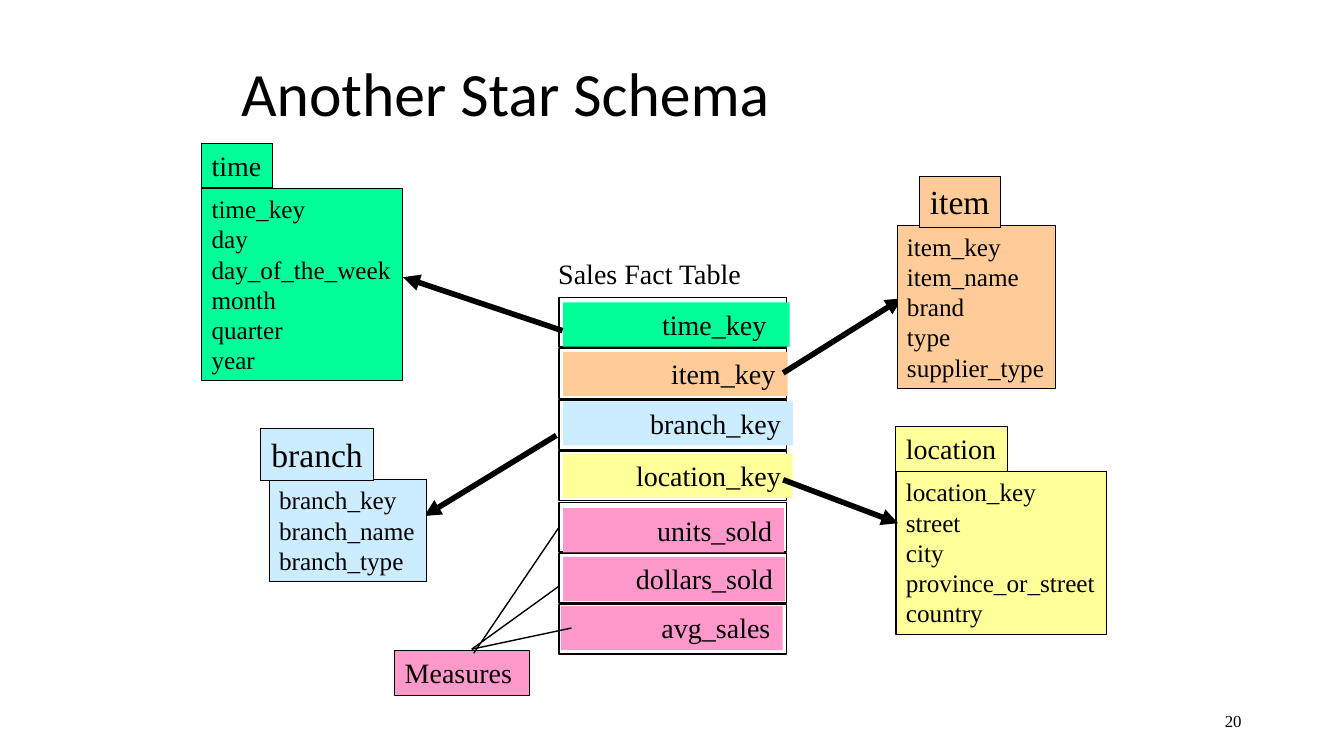
"""Build a star schema slide: a sales fact table linked to four dimensions."""
from dataclasses import dataclass
from typing import Optional

from lxml import etree
from pptx import Presentation
from pptx import slide as sl
from pptx import util as u
from pptx.dml import color
from pptx.enum import shapes, text
from pptx.oxml import ns
from pptx.shapes import autoshape, connector, shapetree
from pptx.text import text as tx


@dataclass(frozen=True)
class Theme:
    heading_font: str = "Calibri"
    body_font: str = "Times New Roman"
    ink: str = "000000"
    green: str = "00FF99"
    orange: str = "FFCC99"
    blue: str = "CCECFF"
    yellow: str = "FFFF99"
    pink: str = "FF99CC"
    title_size: float = 44
    large_size: float = 24
    label_size: float = 20
    field_size: float = 18
    number_size: float = 12
    border: float = 0.75
    rule: float = 1
    arrow: float = 4
    inset: float = 7.2


@dataclass(frozen=True)
class Area:
    left: float
    top: float
    width: float
    height: float

    def lengths(self) -> tuple[u.Length, ...]:
        """Return the four measures as lengths."""
        return tuple(u.Pt(v) for v in (self.left, self.top, self.width, self.height))


@dataclass(frozen=True)
class Dimension:
    name: str
    fields: tuple[str, ...]
    fill: str
    header: Area
    body: Area
    header_size: float
    header_align: text.PP_ALIGN = text.PP_ALIGN.LEFT


@dataclass(frozen=True)
class FactRow:
    name: str
    fill: str
    area: Area
    text_left: float


@dataclass(frozen=True)
class Link:
    start: tuple[float, float]
    end: tuple[float, float]
    row: Optional[str] = None


THEME = Theme()
CENTER = text.PP_ALIGN.CENTER

TIME = Dimension(
    "time", ("time_key", "day", "day_of_the_week", "month", "quarter", "year"),
    THEME.green, Area(144, 102.2, 50.6, 32), Area(144, 134.6, 143.3, 137.6), THEME.label_size)
LOCATION = Dimension(
    "location", ("location_key", "street", "city", "province_or_street", "country"),
    THEME.yellow, Area(640, 304.6, 80, 32), Area(640, 337, 150.5, 116), THEME.label_size)
ITEM = Dimension(
    "item", ("item_key", "item_name", "brand", "type", "supplier_type"),
    THEME.orange, Area(656.8, 126, 57.6, 36.7), Area(640.8, 161.4, 113, 116),
    THEME.large_size, CENTER)
BRANCH = Dimension(
    "branch", ("branch_key", "branch_name", "branch_type"),
    THEME.blue, Area(186.2, 306.2, 80.6, 36.7), Area(192.3, 342.6, 112.3, 72.7),
    THEME.large_size, CENTER)

CELL = Area(399.4, 212.6, 162.6, 35.4)
CELL_PITCH = 36.55
FACT_ROWS = (
    FactRow("time_key", THEME.green, Area(402, 216, 162, 31.6), 472.9),
    FactRow("item_key", THEME.orange, Area(402.2, 251.3, 160.4, 31.6), 479.3),
    FactRow("branch_key", THEME.blue, Area(402.2, 286.6, 164.2, 31.6), 464.3),
    FactRow("location_key", THEME.yellow, Area(402, 324, 164.2, 31.6), 454.3),
    FactRow("units_sold", THEME.pink, Area(402.2, 362.9, 157.7, 31.6), 469.3),
    FactRow("dollars_sold", THEME.pink, Area(402.2, 397.8, 158.4, 31.6), 454.3),
    FactRow("avg_sales", THEME.pink, Area(400.6, 432.7, 158.4, 31.6), 472.5),
)
MEASURE_LINKS = (
    Link((338.4, 466.6), (398.9, 376.6), "units_sold"),
    Link((337, 463.7), (398.9, 419)),
    Link((337, 463.7), (408.2, 448.6)),
)
ARROWS = (
    Link((397.4, 311), (303.1, 368.6)),
    Link((401.8, 236.2), (288, 198)),
    Link((559.4, 342.7), (641.5, 373.7)),
    Link((559.4, 266.4), (644.4, 213.1)),
)


def rgb(value: str) -> color.RGBColor:
    """Return a colour from its hex digits."""
    return color.RGBColor.from_string(value)


def write(frame: tx.TextFrame, lines: tuple[str, ...], size: float,
          align: text.PP_ALIGN = text.PP_ALIGN.LEFT, font: str = THEME.body_font) -> None:
    """Write one paragraph per line in a single style."""
    frame.word_wrap = True
    frame.auto_size = text.MSO_AUTO_SIZE.NONE
    frame.text = "\n".join(lines)
    for para in frame.paragraphs:
        para.alignment = align
        para.font.name = font
        para.font.size = u.Pt(size)
        para.font.color.rgb = rgb(THEME.ink)


def add_box(parent: shapetree._BaseGroupShapes, area: Area, fill: Optional[str] = None,
            border: Optional[float] = None) -> autoshape.Shape:
    """Add a rectangle with optional fill and border."""
    box = parent.add_shape(shapes.MSO_SHAPE.RECTANGLE, *area.lengths())
    box.shadow.inherit = False
    if fill:
        box.fill.solid()
        box.fill.fore_color.rgb = rgb(fill)
    else:
        box.fill.background()
    if border:
        box.line.color.rgb = rgb(THEME.ink)
        box.line.width = u.Pt(border)
    else:
        box.line.fill.background()
    return box


def label(box: autoshape.Shape, lines: tuple[str, ...], size: float,
          inset: float = THEME.inset, align: text.PP_ALIGN = text.PP_ALIGN.LEFT) -> None:
    """Write text from the top of a box, leaving the given left inset."""
    frame = box.text_frame
    frame.vertical_anchor = text.MSO_ANCHOR.TOP
    frame.margin_left = u.Pt(0 if align == CENTER else inset)
    frame.margin_right = 0
    write(frame, lines, size, align)


def add_dimension(page: sl.Slide, dimension: Dimension) -> None:
    """Add a grouped dimension table with its name above its fields."""
    group = page.shapes.add_group_shape().shapes
    body = add_box(group, dimension.body, dimension.fill, THEME.border)
    label(body, dimension.fields, THEME.field_size)
    header = add_box(group, dimension.header, dimension.fill, THEME.border)
    label(header, (dimension.name,), dimension.header_size, align=dimension.header_align)


def add_fact_table(page: sl.Slide) -> dict[str, autoshape.Shape]:
    """Add the fact rows and return their outlined cells by name."""
    cells = {}
    for index, row in enumerate(FACT_ROWS):
        area = Area(CELL.left, CELL.top + index * CELL_PITCH, CELL.width, CELL.height)
        cells[row.name] = add_box(page.shapes, area, border=THEME.rule)
        key = add_box(page.shapes, row.area, row.fill)
        label(key, (row.name,), THEME.label_size, row.text_left - row.area.left)
    return cells


def add_link(page: sl.Slide, link: Link, width: float) -> connector.Connector:
    """Add a straight black line."""
    line = page.shapes.add_connector(
        shapes.MSO_CONNECTOR.STRAIGHT, *(u.Pt(v) for v in link.start + link.end))
    line.line.color.rgb = rgb(THEME.ink)
    line.line.width = u.Pt(width)
    etree.SubElement(line.element.spPr, ns.qn("a:effectLst"))
    return line


def add_text(page: sl.Slide, area: Area, words: str, size: float,
             align: text.PP_ALIGN = text.PP_ALIGN.LEFT) -> None:
    """Add a one-line text box."""
    box = page.shapes.add_textbox(*area.lengths())
    box.text_frame.vertical_anchor = text.MSO_ANCHOR.MIDDLE
    write(box.text_frame, (words,), size, align)


def main() -> None:
    """Build and save the slide."""
    deck = Presentation()
    deck.slide_width, deck.slide_height = u.Pt(960), u.Pt(540)
    page = deck.slides.add_slide(deck.slide_layouts[5])
    title = page.shapes.title
    title.left, title.top, title.width, title.height = Area(165, 36, 601, 65.5).lengths()
    title.text_frame.vertical_anchor = text.MSO_ANCHOR.MIDDLE
    write(title.text_frame, ("Another Star Schema",), THEME.title_size, font=THEME.heading_font)
    title.text_frame.paragraphs[0].line_spacing = 0.9
    add_text(page, Area(678, 500.4, 216, 28.8), "20", THEME.number_size, text.PP_ALIGN.RIGHT)

    add_dimension(page, TIME)
    add_dimension(page, LOCATION)
    add_text(page, Area(391.7, 179.3, 146.2, 31.7), "Sales Fact Table", THEME.label_size)
    cells = add_fact_table(page)
    measures = add_box(page.shapes, Area(282, 465, 96, 31.7), THEME.pink, THEME.border)
    label(measures, ("Measures",), THEME.label_size)
    for link in MEASURE_LINKS:
        line = add_link(page, link, THEME.rule)
        if link.row:
            line.end_connect(cells[link.row], 1)
    for link in ARROWS:
        line = add_link(page, link, THEME.arrow)
        etree.SubElement(line.element.spPr.find(ns.qn("a:ln")), ns.qn("a:tailEnd"), type="triangle")
    add_dimension(page, ITEM)
    add_dimension(page, BRANCH)
    deck.save("out.pptx")


if __name__ == "__main__":
    main()
